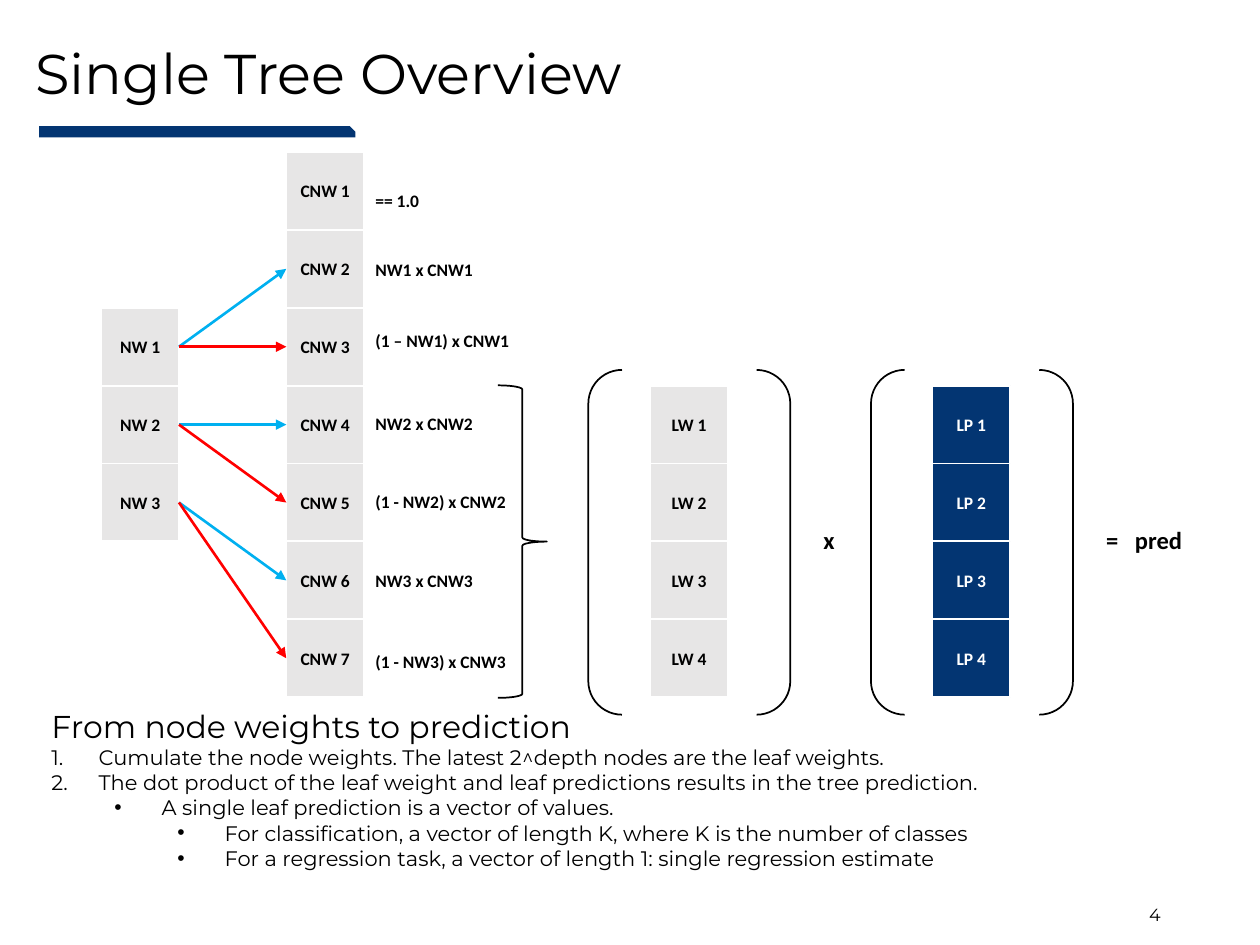
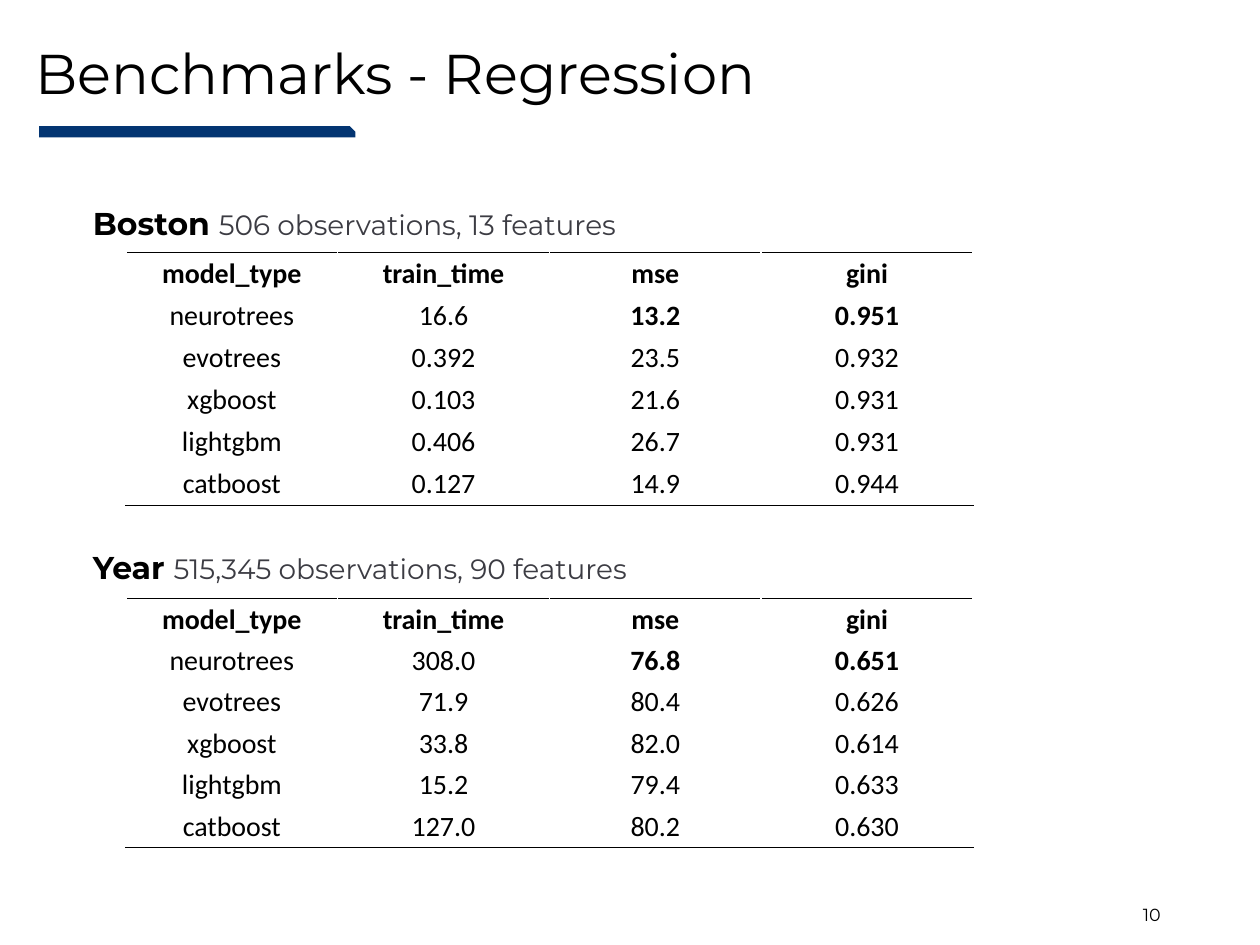
from lxml import etree
from pptx import Presentation
from pptx.dml.color import RGBColor
from pptx.enum.shapes import MSO_CONNECTOR, MSO_SHAPE as Preset
from pptx.enum.text import MSO_ANCHOR as Anchor, MSO_AUTO_SIZE as AutoSize, PP_ALIGN as Align
from pptx.oxml.ns import qn
from pptx.util import Pt

BLACK, WHITE, GREY, NAVY = "000000", "FFFFFF", "E7E6E6", "033572"
BLUE, RED, SLATE = "00B0F0", "FF0000", "3C3C43"
HEADING, BODY = "Montserrat", "Calibri"
rgb = RGBColor.from_string


def set_font(font, name, size, color=BLACK, bold=False):
    font.name, font.size, font.bold = name, Pt(size), bold
    font.color.rgb = rgb(color)


def add_text(page, text, left, top, width, height, name=BODY, size=10, bold=True):
    """Add a wrapping text box and return its first paragraph."""
    box = page.shapes.add_textbox(Pt(left), Pt(top), Pt(width), Pt(height))
    box.text_frame.word_wrap = True
    para = box.text_frame.paragraphs[0]
    para.text = text
    set_font(para.font, name, size, bold=bold)
    return para


deck = Presentation()
deck.slide_width, deck.slide_height = Pt(720), Pt(540)

# Shared title, band and page number
pages = []
for title_text, number in [("Single Tree Overview", "4"), ("Benchmarks - Regression", "10")]:
    page = deck.slides.add_slide(deck.slide_layouts[5])
    title = page.shapes.title
    title.left, title.top, title.width, title.height = Pt(13), Pt(16.6), Pt(602), Pt(54)
    title.text_frame.text = title_text
    title.text_frame.auto_size = AutoSize.NONE
    title.text_frame.vertical_anchor = Anchor.MIDDLE
    para = title.text_frame.paragraphs[0]
    para.alignment, para.line_spacing = Align.LEFT, 0.9
    set_font(para.font, HEADING, 32)

    band = page.shapes.add_shape(Preset.SNIP_1_RECTANGLE, Pt(22.3), Pt(72), Pt(180.7), Pt(6.5))
    band.adjustments[0] = 0.5
    band.shadow.inherit = False
    band.fill.solid()
    band.fill.fore_color.rgb = rgb(NAVY)
    band.line.fill.background()

    para = add_text(page, number, 508.3, 513, 162, 16, HEADING, 10, False)
    para.alignment = Align.RIGHT
    pages.append(page)

tree_page, benchmark_page = pages

# Slide 1: columns of weights, all on one row grid
GRID_TOP, CELL = 86.9, 44.5
columns = [
    # prefix, left, first grid row, count, fill, text colour
    ("LW", 371.5, 3, 4, GREY, BLACK),
    ("NW", 57.8, 2, 3, GREY, BLACK),
    ("CNW", 163.6, 0, 7, GREY, BLACK),
    ("LP", 532.8, 3, 4, NAVY, WHITE),
]
nodes = {}
for prefix, left, first_row, count, fill, text_color in columns:
    nodes[prefix] = []
    for index in range(count):
        top = GRID_TOP + (first_row + index) * CELL
        node = tree_page.shapes.add_shape(Preset.RECTANGLE, Pt(left), Pt(top), Pt(CELL), Pt(CELL))
        node.shadow.inherit = False
        node.fill.solid()
        node.fill.fore_color.rgb = rgb(fill)
        node.line.color.rgb = rgb(WHITE)
        node.line.width = Pt(1)
        frame = node.text_frame
        frame.margin_left = frame.margin_right = Pt(2)
        frame.vertical_anchor = Anchor.MIDDLE
        para = frame.paragraphs[0]
        para.text = f"{prefix} {index + 1}"
        para.alignment = Align.CENTER
        set_font(para.font, BODY, 10, text_color, True)
        nodes[prefix].append(node)

# Each node weight feeds two children
for index, parent in enumerate(nodes["NW"]):
    for side, color in enumerate([BLUE, RED]):
        arrow = tree_page.shapes.add_connector(MSO_CONNECTOR.STRAIGHT, 0, 0, 0, 0)
        arrow.begin_connect(parent, 3)
        arrow.end_connect(nodes["CNW"][2 * index + 1 + side], 1)
        arrow.line.color.rgb = rgb(color)
        arrow.line.width = Pt(1.5)
        etree.SubElement(arrow.line._get_or_add_ln(), qn("a:tailEnd"), type="triangle")
        etree.SubElement(arrow._element.spPr, qn("a:effectLst"))

for formula, top in [
    ("== 1.0", 105.1),
    ("NW1 x CNW1", 144.4),
    ("(1 – NW1) x CNW1", 185),
    ("NW2 x CNW2", 232.4),
    ("(1 - NW2) x CNW2", 277.2),
    ("NW3 x CNW3", 322.4),
    ("(1 - NW3) x CNW3", 368.6),
]:
    add_text(tree_page, formula, 207.5, top, 105, 19.4)

for preset, left, top, width, height in [
    (Preset.RIGHT_BRACE, 284.5, 220.2, 28, 178.6),
    (Preset.DOUBLE_BRACKET, 336.2, 211.4, 115.4, 197),
    (Preset.DOUBLE_BRACKET, 497.7, 211.4, 115.4, 197),
]:
    bracket = tree_page.shapes.add_shape(preset, Pt(left), Pt(top), Pt(width), Pt(height))
    bracket.shadow.inherit = False
    bracket.fill.background()
    bracket.line.color.rgb = rgb(BLACK)
    bracket.line.width = Pt(1)

add_text(tree_page, "x", 463.5, 296.6, 22.5, 24.2, size=14)
para = add_text(tree_page, "=\tpred", 625, 296.6, 76.3, 24.2, size=14)
tab_list = etree.SubElement(para._p.get_or_add_pPr(), qn("a:tabLst"))
etree.SubElement(tab_list, qn("a:tab"), pos=str(Pt(16.5)), algn="l")
para._p.pPr.insert(0, tab_list)

# Slide 1: explanation
heading = add_text(tree_page, "From node weights to prediction",
                   22.3, 400.3, 657, 101.5, HEADING, 18, False)
frame = heading._parent
for level, text in [
    (0, "Cumulate the node weights. The latest 2^depth nodes are the leaf weights."),
    (0, "The dot product of the leaf weight and leaf predictions results in the tree prediction."),
    (1, "A single leaf prediction is a vector of values."),
    (2, "For classification, a vector of length K, where K is the number of classes"),
    (2, "For a regression task, a vector of length 1: single regression estimate"),
]:
    para = frame.add_paragraph()
    para.text, para.level = text, level
    set_font(para.font, HEADING, 12)
    properties = para._p.get_or_add_pPr()
    properties.set("marL", str(Pt(27 + 36 * level)))
    properties.set("indent", str(Pt(-27)))
    if level == 0:
        marks = [etree.Element(qn("a:buAutoNum"), type="arabicPeriod")]
    else:
        marks = [etree.Element(qn("a:buFont"), typeface="Arial"),
                 etree.Element(qn("a:buChar"), char="•")]
    for position, mark in enumerate(marks):
        properties.insert(position, mark)

# Slide 2: one captioned table per dataset
HEADER = ("model_type", "train_time", "mse", "gini")
benchmarks = [
    ("Boston ", "506 observations, 13 features", 113, 144.2, 24.1, [
        ("neurotrees", "16.6", "13.2", "0.951"),
        ("evotrees", "0.392", "23.5", "0.932"),
        ("xgboost", "0.103", "21.6", "0.931"),
        ("lightgbm", "0.406", "26.7", "0.931"),
        ("catboost", "0.127", "14.9", "0.944"),
    ]),
    ("Year ", "515,345 observations, 90 features", 309.8, 342.1, 23.7, [
        ("neurotrees", "308.0", "76.8", "0.651"),
        ("evotrees", "71.9", "80.4", "0.626"),
        ("xgboost", "33.8", "82.0", "0.614"),
        ("lightgbm", "15.2", "79.4", "0.633"),
        ("catboost", "127.0", "80.2", "0.630"),
    ]),
]
for dataset, size_note, caption_top, table_top, row_height, results in benchmarks:
    para = add_text(benchmark_page, "", 46, caption_top, 510.5, 29, HEADING, 18, False)
    for text, size, color, bold in [(dataset, 18, BLACK, True), (size_note, 16, SLATE, False)]:
        span = para.add_run()
        span.text = text
        set_font(span.font, HEADING, size, color, bold)

    rows = [HEADER, *results]
    table = benchmark_page.shapes.add_table(
        len(rows), len(HEADER), Pt(72), Pt(table_top), Pt(484), Pt(row_height * len(rows))).table
    table.first_row = table.horz_banding = False
    for row_index, values in enumerate(rows):
        table.rows[row_index].height = Pt(row_height)
        for column_index, value in enumerate(values):
            cell = table.cell(row_index, column_index)
            cell.fill.background()
            cell.vertical_anchor = Anchor.MIDDLE
            cell.margin_left = cell.margin_right = Pt(5)
            cell.margin_top = cell.margin_bottom = Pt(2)
            para = cell.text_frame.paragraphs[0]
            para.text = value
            para.alignment = Align.CENTER
            best = row_index == 1 and column_index >= 2
            set_font(para.font, BODY, 16, bold=row_index == 0 or best)
            if row_index in (0, len(rows) - 1):
                edge = etree.Element(qn("a:lnT" if row_index == 0 else "a:lnB"), w=str(Pt(1)))
                edge_fill = etree.SubElement(edge, qn("a:solidFill"))
                etree.SubElement(edge_fill, qn("a:srgbClr"), val=BLACK)
                cell._tc.get_or_add_tcPr().insert(0, edge)

deck.save("out.pptx")
